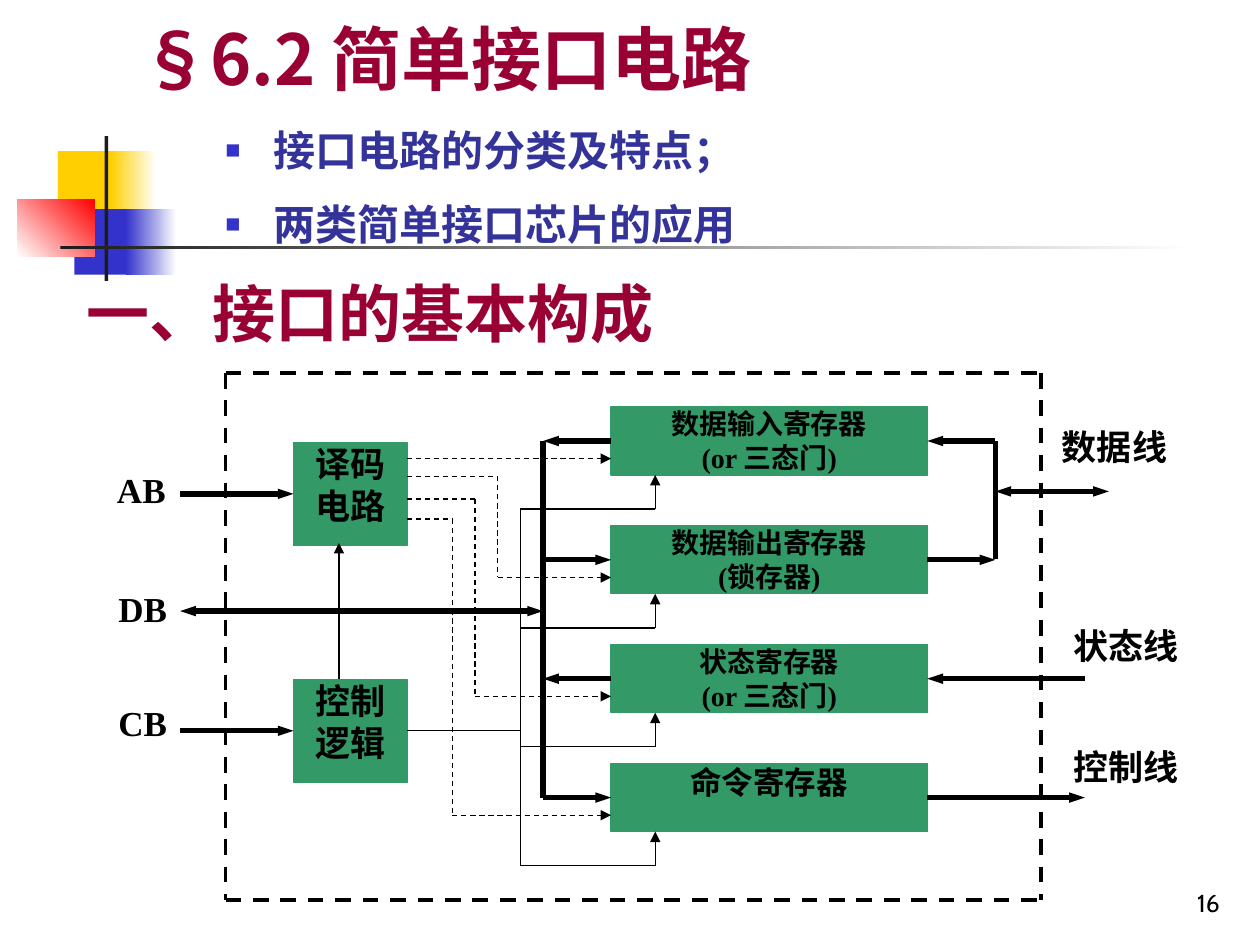
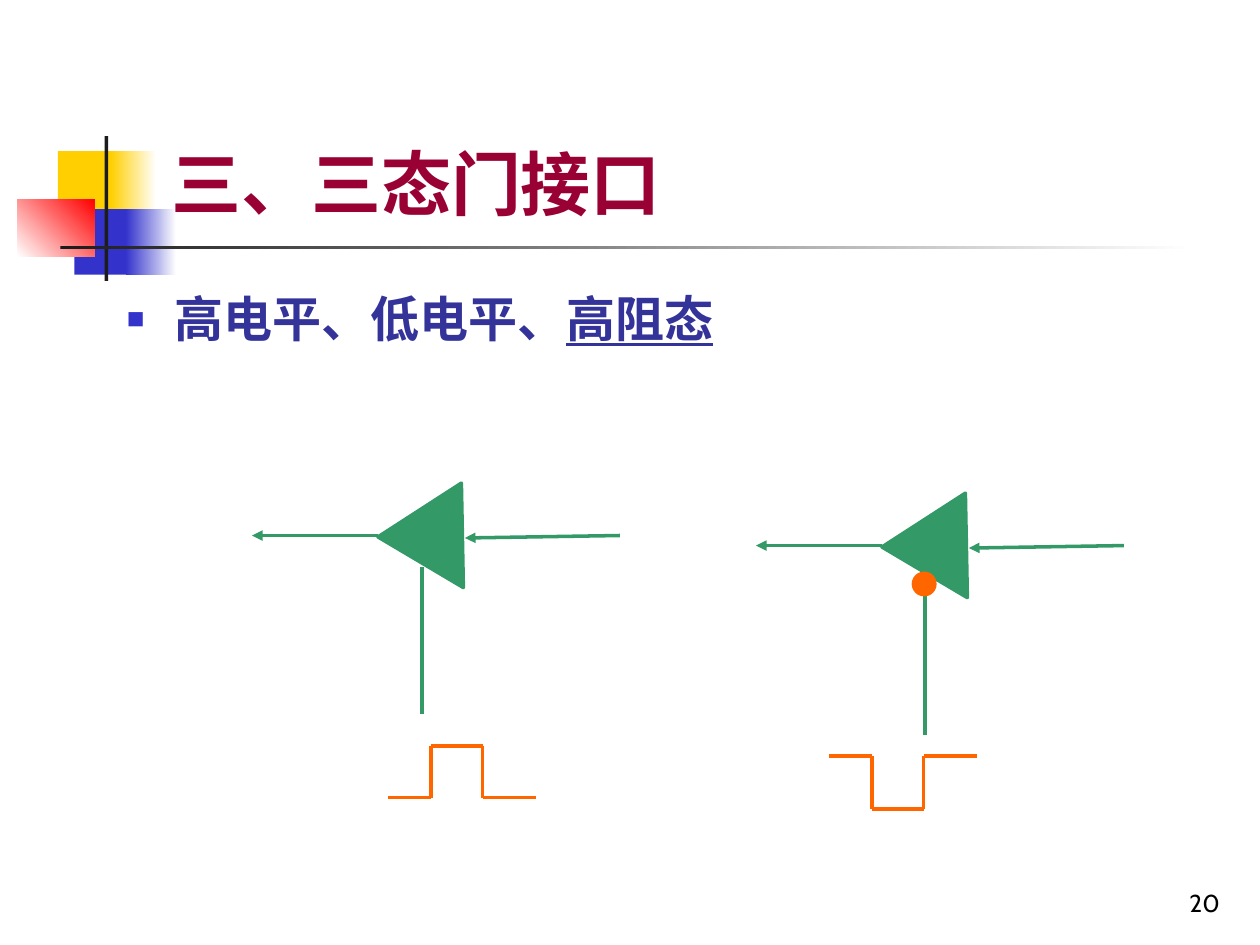
import pptx
import pptx.util
import pptx.dml.color
import pptx.enum.dml
import pptx.enum.shapes
import pptx.enum.text
import pptx.oxml
import pptx.oxml.ns
from dataclasses import dataclass
from itertools import pairwise
from lxml import etree

Inches, Pt = pptx.util.Inches, pptx.util.Pt
SHAPE = pptx.enum.shapes.MSO_SHAPE
ALIGN = pptx.enum.text.PP_ALIGN
ANCHOR = pptx.enum.text.MSO_ANCHOR
TOP, LEFT, BOTTOM, RIGHT = range(4)


@dataclass(frozen=True)
class Theme:
    # Colours
    title: str = "990033"
    body: str = "333399"
    ink: str = "000000"
    paper: str = "FFFFFF"
    bar: str = "1C1C1C"
    yellow: str = "FFCF01"
    blue: str = "3333CC"
    red: str = "FF0000"
    green: str = "339966"
    orange: str = "FF6600"
    # Fonts
    sans: str = "Arial"
    serif: str = "Times New Roman"
    cjk: str = "Noto Sans CJK SC"
    number: str = "Cabin"
    # Type sizes in points
    title_size: int = 40
    heading_size: int = 36
    label_size: int = 20
    command_size: int = 18
    register_size: int = 16
    number_size: int = 14
    # Line widths in points
    thin: float = 0.75
    medium: float = 2
    frame: float = 2.25
    thick: float = 3


def rgb(value):
    return pptx.dml.color.RGBColor.from_string(value)


def add_xml(parent, tag, **attributes):
    child = etree.SubElement(parent, pptx.oxml.ns.qn(tag))
    for name, value in attributes.items():
        child.set(name, value)
    return child


class Deck:
    def __init__(self, theme):
        self.theme = theme
        self.prs = pptx.Presentation()
        self.prs.slide_width, self.prs.slide_height = Inches(10), Inches(7.5)
        self.s = None

    def new_slide(self, number):
        t = self.theme
        self.s = self.prs.slides.add_slide(self.prs.slide_layouts[5])
        # Corner squares and crossing bars
        self.shape(0.46, 1.2, 0.48, 0.52, t.yellow)
        self.shape(0.88, 1.2, 0.36, 0.52, (t.yellow, t.paper))
        self.shape(0.59, 1.66, 0.46, 0.52, t.blue)
        self.shape(1, 1.66, 0.4, 0.52, (t.blue, t.paper))
        self.shape(0.14, 1.58, 0.61, 0.46, (t.paper, t.red), angle=45)
        self.shape(0.83, 1.08, 0.03, 1.15, t.bar)
        self.shape(0.48, 1.95, 9, 0.03, (t.bar, t.paper))
        # Slide number
        self.text(7.7, 6.83, 2.08, 0.5, number, t.number_size, t.number, t.ink,
                  bold=False, align=ALIGN.RIGHT, anchor=ANCHOR.BOTTOM)

    def format_text(self, sp, text, size, font, color, bold=True,
                    align=ALIGN.LEFT, anchor=ANCHOR.TOP, inset=0.05):
        tf = sp.text_frame
        tf.text = text
        tf.word_wrap = True
        tf.auto_size = pptx.enum.text.MSO_AUTO_SIZE.NONE
        tf.vertical_anchor = anchor
        tf.margin_left = tf.margin_right = Inches(0.1)
        tf.margin_top = tf.margin_bottom = Inches(inset)
        for p in tf.paragraphs:
            p.alignment = align
            for r in p.runs:
                self.format_run(r, size, font, color, bold)

    def format_run(self, r, size, font, color, bold=True):
        r.font.size, r.font.bold, r.font.name = Pt(size), bold, font
        r.font.color.rgb = rgb(color)
        add_xml(r.font._element, "a:ea", typeface=self.theme.cjk)

    def title(self, x, y, w, h, text, font, align=ALIGN.LEFT):
        sp = self.s.shapes.title
        sp.element.getparent().append(sp.element)
        sp.left, sp.top, sp.width, sp.height = map(Inches, (x, y, w, h))
        self.format_text(sp, text, self.theme.title_size, font,
                         self.theme.title, align=align, anchor=ANCHOR.BOTTOM)

    def text(self, x, y, w, h, text, size, font, color, **options):
        sp = self.s.shapes.add_textbox(*map(Inches, (x, y, w, h)))
        self.format_text(sp, text, size, font, color, **options)
        return sp

    def bullets(self, x, y, w, h, text, size, spacing=1.0, space_before=6):
        t = self.theme
        sp = self.text(x, y, w, h, text, size, t.sans, t.body)
        for i, p in enumerate(sp.text_frame.paragraphs):
            p.line_spacing = spacing
            p.space_before = Pt(space_before if i else 0)
            pPr = p._p.get_or_add_pPr()
            pPr.set("marL", str(Inches(0.38)))
            pPr.set("indent", str(-Inches(0.38)))
            add_xml(add_xml(pPr, "a:buClr"), "a:srgbClr", val=t.blue)
            add_xml(pPr, "a:buSzPct", val="60000")
            add_xml(pPr, "a:buFont", typeface=t.sans)
            add_xml(pPr, "a:buChar", char="■")
        return sp

    def label(self, x, y, w, text):
        t = self.theme
        self.text(x, y, w, 0.4, text, t.label_size, t.serif, t.ink, inset=0)

    def shape(self, x, y, w, h, fill, kind=SHAPE.RECTANGLE, angle=0, line=None):
        sp = self.s.shapes.add_shape(kind, *map(Inches, (x, y, w, h)))
        sp.shadow.inherit = False
        if isinstance(fill, tuple):
            sp.fill.gradient()
            sp.fill.gradient_angle = angle
            for i, (stop, color) in enumerate(zip(sp.fill.gradient_stops, fill)):
                stop.position = i
                stop.color.rgb = rgb(color)
        else:
            sp.fill.solid()
            sp.fill.fore_color.rgb = rgb(fill)
        if line:
            sp.line.color.rgb = rgb(fill)
            sp.line.width = Pt(line)
        else:
            sp.line.fill.background()
        return sp

    def block(self, x, y, w, h, text, size):
        t = self.theme
        sp = self.shape(x, y, w, h, t.green, line=t.thin)
        self.format_text(sp, text, size, t.serif, t.ink,
                         align=ALIGN.CENTER, inset=0)
        return sp

    def wire(self, points, width, color=None, dash=False, head=False,
             tail=False, begin=None, end=None):
        """Straight pieces through points; begin and end are (shape, side)."""
        pieces = []
        for (x1, y1), (x2, y2) in pairwise(points):
            sp = self.s.shapes.add_connector(
                pptx.enum.shapes.MSO_CONNECTOR.STRAIGHT,
                Inches(x1), Inches(y1), Inches(x2), Inches(y2))
            sp.line.color.rgb = rgb(color or self.theme.ink)
            sp.line.width = Pt(width)
            if dash:
                sp.line.dash_style = pptx.enum.dml.MSO_LINE.DASH
            add_xml(sp.element.spPr, "a:effectLst")
            pieces.append(sp)
        if begin:
            pieces[0].begin_connect(*begin)
        if end:
            pieces[-1].end_connect(*end)
        arrow_width = "sm" if width == self.theme.thick else "med"
        for wanted, sp, tag in ((head, pieces[0], "a:headEnd"),
                                (tail, pieces[-1], "a:tailEnd")):
            if wanted:
                add_xml(sp.line._get_or_add_ln(), tag, type="triangle",
                        w=arrow_width, len="med")


def interface_slide(deck):
    t = deck.theme
    deck.new_slide("16")
    deck.bullets(1.69, 0.84, 8.5, 1.2,
                 "接口电路的分类及特点；\n两类简单接口芯片的应用", 24, spacing=1.25)
    deck.title(-0.35, 0.13, 7.78, 0.71, "§6.2 简单接口电路", t.cjk, ALIGN.CENTER)
    deck.text(0.59, 2.12, 8.52, 0.71, "一、接口的基本构成", t.heading_size,
              t.sans, t.title, anchor=ANCHOR.BOTTOM)

    # Bus and port labels
    for x, y, w, name in ((0.83, 3.72, 0.72, "AB"), (0.84, 4.66, 0.72, "DB"),
                          (0.84, 5.57, 0.72, "CB"), (8.33, 3.38, 1.08, "数据线"),
                          (8.42, 4.96, 1.08, "状态线"), (8.42, 5.92, 1.08, "控制线")):
        deck.label(x, y, w, name)

    # Decoder and control logic
    block_x, block_w, block_h = 2.33, 0.9, 0.82
    decoder_mid, control_mid = 3.92, 5.8
    decoder, control = (
        deck.block(block_x, mid - block_h / 2, block_w, block_h, text, t.label_size)
        for mid, text in ((decoder_mid, "译码\n电路"), (control_mid, "控制\n逻辑")))
    for block, mid in ((decoder, decoder_mid), (control, control_mid)):
        deck.wire([(1.43, mid), (block_x, mid)], t.thick, tail=True,
                  end=(block, LEFT))
    deck.wire([(2.69, 5.39), (2.69, 4.31)], 1, tail=True)

    # Registers: text, size, reads inward, outer end, select wire start and turn
    registers = (
        ("数据输入寄存器\n(or 三态门)", t.register_size, True, 7.9, 3.64, None),
        ("数据输出寄存器\n(锁存器)", t.register_size, False, 7.9, 3.78, 3.95),
        ("状态寄存器\n(or 三态门)", t.register_size, True, 8.61, 3.96, 3.77),
        ("命令寄存器", t.command_size, False, 8.61, 4.12, 3.59),
    )
    reg_x, reg_w, reg_h = 4.85, 2.51, 0.54
    reg_top, reg_pitch = 3.23, (6.06 - 3.23) / 3
    reg_right = reg_x + reg_w
    bus_x, control_x, enable_x = 4.31, 4.13, 5.2
    block_right = block_x + block_w
    for i, (text, size, inward, outer_x, start_y, turn_x) in enumerate(registers):
        top = reg_top + i * reg_pitch
        mid, bottom = top + reg_h / 2, top + reg_h
        register = deck.block(reg_x, top, reg_w, reg_h, text, size)
        # Data flow on both sides
        deck.wire([(bus_x, mid), (reg_x, mid)], t.thick, head=inward,
                  tail=not inward, end=(register, LEFT))
        deck.wire([(reg_right, mid), (outer_x, mid)], t.thick, head=inward,
                  tail=not inward, begin=(register, RIGHT))
        # Select wire from the decoder
        select_y = mid + 0.14
        bend = [(turn_x, start_y), (turn_x, select_y)] if turn_x else []
        deck.wire([(block_right, start_y), *bend, (reg_x, select_y)], t.thin,
                  dash=True, tail=True)
        # Enable wire from the control logic
        deck.wire([(control_x, bottom + 0.27), (enable_x, bottom + 0.27),
                   (enable_x, bottom)], t.thin, tail=True)

    # Trunks
    deck.wire([(bus_x, 3.5), (bus_x, 6.33)], t.thick)
    deck.wire([(1.43, 4.85), (bus_x, 4.85)], t.thick, head=True, tail=True)
    deck.wire([(7.9, 3.5), (7.9, 4.44)], t.thick)
    deck.wire([(7.9, 3.9), (8.8, 3.9)], t.thick, head=True, tail=True)
    deck.wire([(control_x, 4.04), (control_x, 6.87)], t.thin)
    deck.wire([(block_right, control_mid), (control_x, control_mid)], t.thin,
              begin=(control, RIGHT))

    # Dashed frame
    left, top, right, bottom = 1.79, 2.96, 8.26, 7.14
    for ends in ([(left, top), (right, top)], [(left, bottom), (right, bottom)],
                 [(left, top), (left, bottom)], [(right, top), (right, bottom)]):
        deck.wire(ends, t.frame, dash=True)


def gate(deck, x, y, stem_x, stem_y):
    """Three-state buffer; x, y is the tip of the output arrow."""
    t = deck.theme
    sp = deck.shape(x + 0.92, y - 0.33, 0.83, 0.67, t.green,
                    SHAPE.ISOSCELES_TRIANGLE, line=t.medium)
    sp.rotation = 268.9
    deck.wire([(x, y), (x + 1, y)], t.medium, t.green, head=True)
    deck.wire([(x + 1.69, y + 0.02), (x + 2.92, y)], t.medium, t.green, head=True)
    deck.wire([(stem_x, stem_y), (stem_x, stem_y + 1.17)], t.medium, t.green)


def pulse(deck, x, rest, active):
    rise, fall, stop = x + 0.34, x + 0.75, x + 1.17
    deck.wire([(x, rest), (rise, rest), (rise, active), (fall, active),
               (fall, rest), (stop, rest)], deck.theme.medium, deck.theme.orange)


def three_state_slide(deck):
    t = deck.theme
    deck.new_slide("20")
    deck.title(1.26, 0.23, 8.52, 1.6, "三、三态门接口", t.sans)
    sp = deck.bullets(0.91, 2.24, 8.5, 1.04, "高电平、低电平、", 28)
    r = sp.text_frame.paragraphs[0].add_run()
    r.text = "高阻态"
    deck.format_run(r, 28, t.sans, t.body)
    r.font.underline = True

    # Active-high gate
    gate(deck, 2, 4.25, 3.35, 4.5)
    pulse(deck, 3.08, rest=6.33, active=5.92)

    # Active-low gate with its inverting bubble
    gate(deck, 6, 4.33, 7.34, 4.66)
    deck.shape(7.25, 4.55, 0.17, 0.17, t.orange, SHAPE.OVAL, line=t.medium)
    pulse(deck, 6.58, rest=6, active=6.42)


def main():
    deck = Deck(Theme())
    interface_slide(deck)
    three_state_slide(deck)
    deck.prs.save("out.pptx")


if __name__ == "__main__":
    main()
